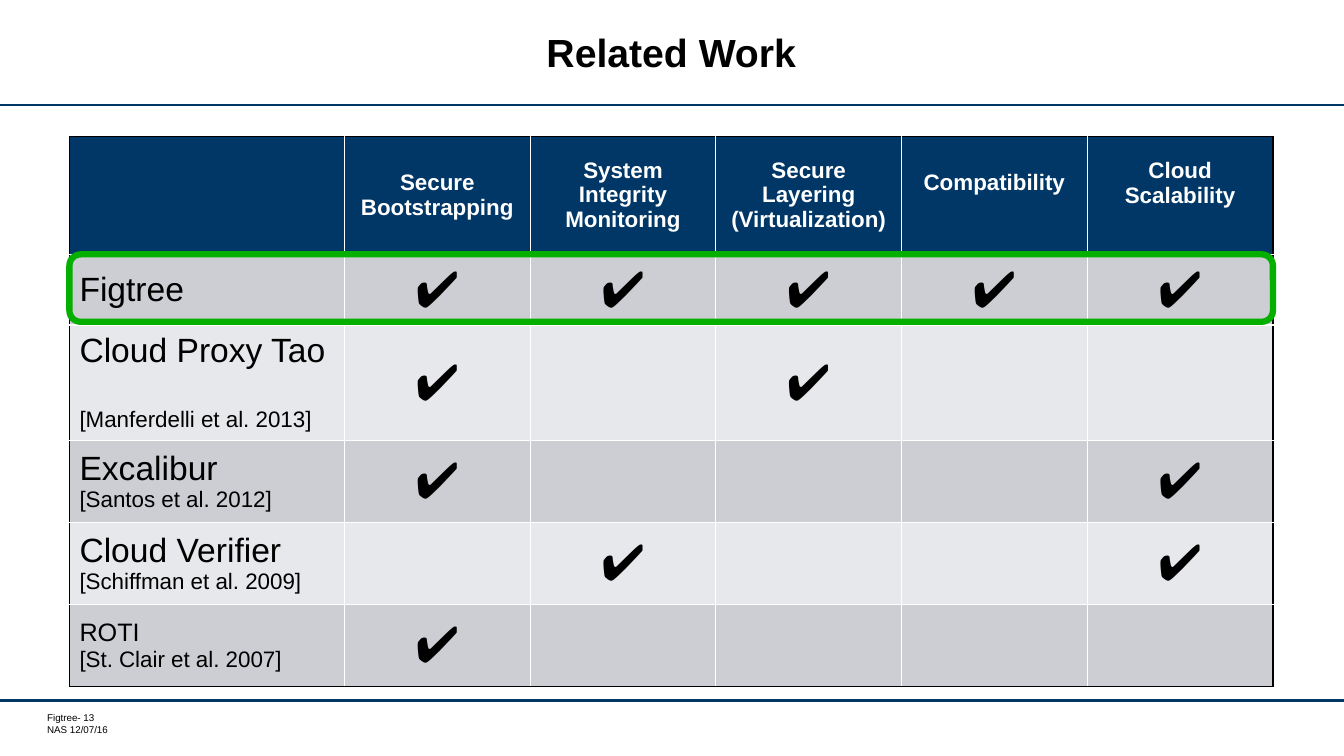
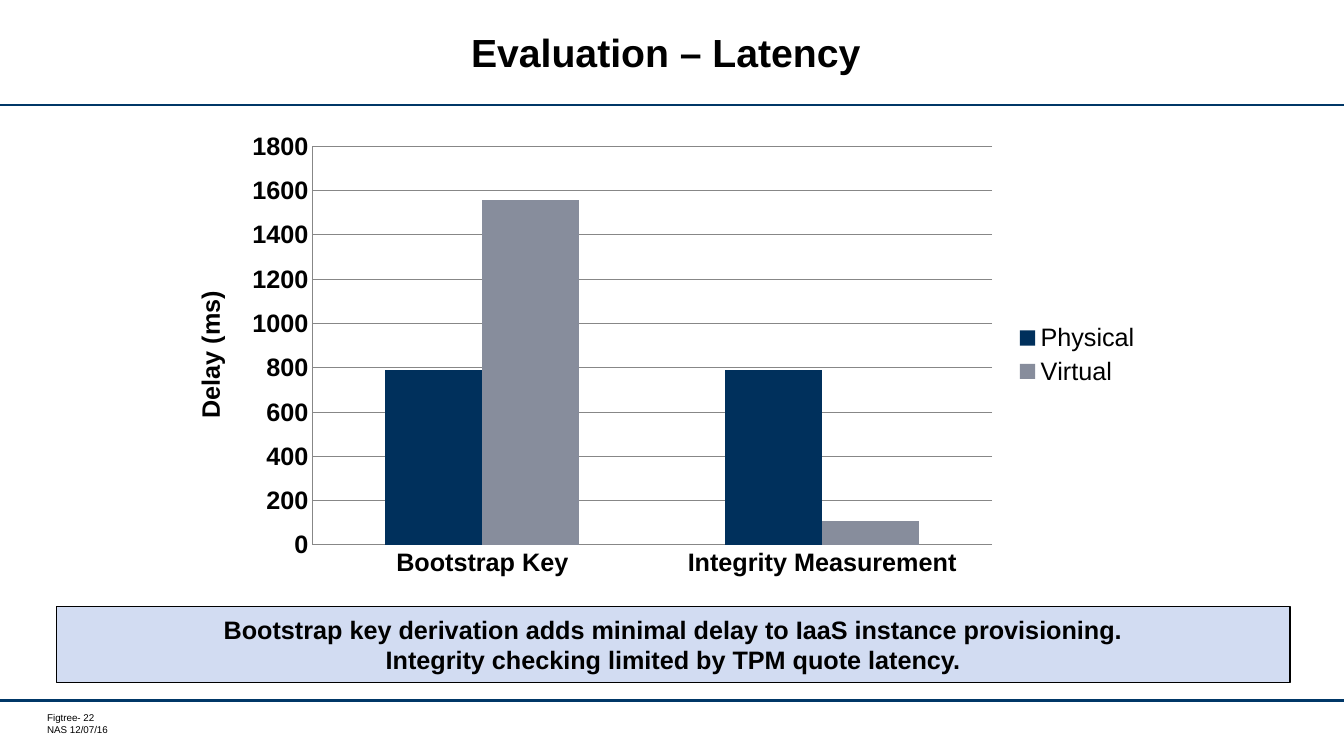
from lxml import etree
from pptx import Presentation
from pptx.chart.data import CategoryChartData as ChartData
from pptx.dml.color import RGBColor as RGB
from pptx.enum.chart import XL_CHART_TYPE as Kind, XL_LEGEND_POSITION as Place, XL_TICK_MARK as Tick
from pptx.enum.shapes import MSO_CONNECTOR as Link, MSO_SHAPE as Form
from pptx.enum.text import MSO_ANCHOR as Anchor, PP_ALIGN as Align
from pptx.oxml.ns import qn
from pptx.util import Cm, Pt

FONT = "Arial"
NAME = "Figtree"
WIDE, HIGH = 33.87, 19.05
INK = {
    "black": "000000", "white": "FFFFFF", "navy": "003767", "green": "05AF00",
    "odd": "CCCED3", "even": "E7E8EB", "pale": "D2DCF2",
    "bar1": "00305C", "bar2": "878D9C", "grid": "878787",
}
HEADS = ["", "Secure Bootstrapping", "System Integrity Monitoring",
         "Secure Layering (Virtualization)", "Compatibility", "Cloud Scalability"]
# name, name size, source, gap above the source, ticks, row height
WORKS = [
    (NAME, 24, "", 0, "xxxxx", 1.76),
    ("Cloud Proxy Tao", 24, "[Manferdelli et al. 2013]", 27, "x.x..", 2.75),
    ("Excalibur", 24, "[Santos et al. 2012]", 0, "x...x", 2.07),
    ("Cloud Verifier", 24, "[Schiffman et al. 2009]", 0, ".x..x", 2.07),
    ("ROTI", 18, "[St. Clair et al. 2007]", 0, "x....", 2.07),
]


def tint(name):
    return RGB.from_string(INK[name])


def style(font, size, bold=False, ink="black"):
    font.name, font.size, font.bold = FONT, Pt(size), bold
    font.color.rgb = tint(ink)


def edge(cell, side, ink):
    """Draw one border of a cell; side is L, R, T or B."""
    line = etree.SubElement(cell._tc.get_or_add_tcPr(), qn("a:ln" + side), w=str(Pt(1)))
    fill = etree.SubElement(line, qn("a:solidFill"))
    etree.SubElement(fill, qn("a:srgbClr"), val=INK[ink])


class Deck:
    def __init__(self):
        self.file = Presentation()
        self.file.slide_width, self.file.slide_height = Cm(WIDE), Cm(HIGH)
        self.slide = None

    def page(self, title, number):
        """Start a slide with its title, rules and footer."""
        self.slide = self.file.slides.add_slide(self.file.slide_layouts[6])
        for y in (2.64, 17.65):
            self.rule(y)
        self.text((1.19, 17.93, 4.04, 0.61), [f"{NAME}- {number}", "NAS 12/07/16"], 7)
        head = self.text((3.48, 0.28, 26.87, 2.26), [title], 28, True, Align.CENTER, 0.25)
        head.vertical_anchor = Anchor.MIDDLE
        head.paragraphs[0].line_spacing = Pt(28)

    def rule(self, y):
        line = self.slide.shapes.add_connector(Link.STRAIGHT, 0, Cm(y), Cm(WIDE), Cm(y))
        line.line.color.rgb, line.line.width = tint("navy"), Pt(1.75)
        etree.SubElement(line._element.spPr, qn("a:effectLst"))

    def put(self, frame, lines, size, bold=False, align=Align.LEFT, ink="black"):
        """Fill a text frame, one paragraph a line."""
        for i, words in enumerate(lines):
            para = frame.add_paragraph() if i else frame.paragraphs[0]
            para.alignment = align
            run = para.add_run()
            run.text = words
            style(run.font, size, bold, ink)

    def text(self, box, lines, size, bold=False, align=Align.LEFT, pad=0):
        frame = self.slide.shapes.add_textbox(*map(Cm, box)).text_frame
        frame.word_wrap = True
        frame.margin_left = frame.margin_right = Cm(pad)
        frame.margin_top = frame.margin_bottom = Cm(pad / 2)
        self.put(frame, lines, size, bold, align)
        return frame

    def shape(self, form, box, line, width, fill=None):
        item = self.slide.shapes.add_shape(form, *map(Cm, box))
        item.shadow.inherit = False
        item.line.color.rgb, item.line.width = tint(line), Pt(width)
        if fill:
            item.fill.solid()
            item.fill.fore_color.rgb = tint(fill)
        else:
            item.fill.background()
        return item

    def note(self, box, lines):
        frame = self.shape(Form.RECTANGLE, box, "black", 1, "pale").text_frame
        frame.word_wrap = True
        frame.vertical_anchor = Anchor.MIDDLE
        frame.margin_left = frame.margin_right = Cm(0.13)
        frame.margin_top = frame.margin_bottom = Cm(0.13)
        self.put(frame, lines, 18, True, Align.CENTER)

    def table(self, box, cols, rows):
        """Add a table with black outer and white inner borders."""
        grid = self.slide.shapes.add_table(len(rows), len(cols), *map(Cm, box)).table
        grid.horz_banding = False
        for col, width in zip(grid.columns, cols):
            col.width = Cm(width)
        for r, high in enumerate(rows):
            grid.rows[r].height = Cm(high)
            for c in range(len(cols)):
                cell = grid.cell(r, c)
                cell.vertical_anchor = Anchor.MIDDLE
                outer = {"L": c == 0, "R": c == len(cols) - 1,
                         "T": r == 0, "B": r == len(rows) - 1}
                for side, out in outer.items():
                    edge(cell, side, "black" if out else "white")
                cell.fill.solid()
                cell.fill.fore_color.rgb = tint("odd" if r % 2 else "even" if r else "navy")
        return grid

    def chart(self, box, cats, series, title):
        data = ChartData()
        data.categories = cats
        for name, vals, _ in series:
            data.add_series(name, vals)
        chart = self.slide.shapes.add_chart(
            Kind.COLUMN_CLUSTERED, *map(Cm, box), data).chart
        style(chart.font, 18)
        chart.has_title = False
        chart.has_legend = True
        chart.legend.position = Place.RIGHT
        chart.legend.include_in_layout = False
        style(chart.legend.font, 18)
        plot = chart.plots[0]
        plot.gap_width, plot.overlap, plot.vary_by_categories = 150, 0, False
        for bars, (_, _, ink) in zip(plot.series, series):
            bars.format.fill.solid()
            bars.format.fill.fore_color.rgb = tint(ink)
        for axis in (chart.category_axis, chart.value_axis):
            axis.major_tick_mark = axis.minor_tick_mark = Tick.NONE
            axis.format.line.color.rgb = tint("grid")
            style(axis.tick_labels.font, 18, True)
        axis = chart.value_axis
        axis.minimum_scale, axis.maximum_scale, axis.major_unit = 0, 1800, 200
        axis.has_major_gridlines = True
        axis.major_gridlines.format.line.color.rgb = tint("grid")
        self.put(axis.axis_title.text_frame, [title], 18, True, Align.CENTER)


def works(deck):
    deck.page("Related Work", 13)
    left, top, wide, head = 1.75, 3.43, 30.33, 2.98
    highs = [head] + [work[-1] for work in WORKS]
    grid = deck.table((left, top, wide, sum(highs)), [6.93] + [4.68] * 5, highs)
    for c, words in enumerate(HEADS):
        if words:
            cell = grid.cell(0, c)
            deck.put(cell.text_frame, [words], 16, True, Align.CENTER, "white")
            if c > 3:
                cell.margin_bottom = Cm(0.75)
    for r, (name, size, source, gap, ticks, _) in enumerate(WORKS, 1):
        frame = grid.cell(r, 0).text_frame
        deck.put(frame, [name], size)
        if source:
            para = frame.add_paragraph()
            para.space_before = Pt(gap)
            run = para.add_run()
            run.text = source
            style(run.font, 16)
        for c, mark in enumerate(ticks, 1):
            if mark == "x":
                deck.put(grid.cell(r, c).text_frame, ["✔"], 36, align=Align.CENTER)
    deck.shape(Form.ROUNDED_RECTANGLE, (left, top + head, wide, 1.7), "green", 4.5)


def delay(deck):
    deck.page("Evaluation – Latency ", 22)
    deck.chart((4.32, 3.1, 24.69, 11.68), ["Bootstrap Key", "Integrity Measurement"],
               [("Physical", (790, 790), "bar1"), ("Virtual", (1560, 110), "bar2")],
               "Delay (ms)")
    deck.note((1.42, 15.29, 31.09, 1.91),
              ["Bootstrap key derivation adds minimal delay to IaaS instance provisioning.",
               "Integrity checking limited by TPM quote latency."])


def main():
    deck = Deck()
    works(deck)
    delay(deck)
    deck.file.save("out.pptx")


if __name__ == "__main__":
    main()
